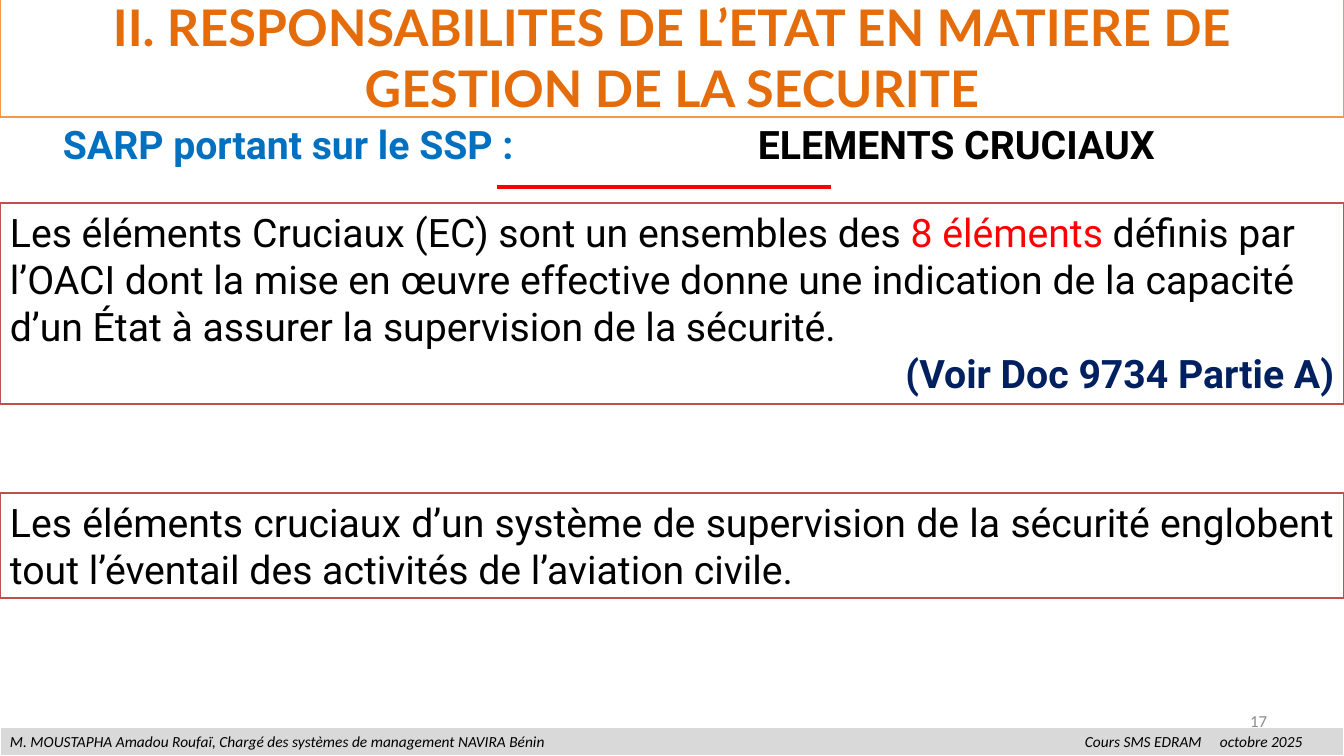
from lxml import etree
from pptx import Presentation
from pptx.dml.color import RGBColor
from pptx.enum.shapes import MSO_CONNECTOR, MSO_SHAPE
from pptx.enum.text import MSO_ANCHOR, MSO_AUTO_SIZE, PP_ALIGN
from pptx.oxml.ns import qn
from pptx.util import Emu, Pt

LEFT, CENTER, RIGHT, JUSTIFY = PP_ALIGN.LEFT, PP_ALIGN.CENTER, PP_ALIGN.RIGHT, PP_ALIGN.JUSTIFY
TOP, MIDDLE = MSO_ANCHOR.TOP, MSO_ANCHOR.MIDDLE
RECTANGLE, STRAIGHT = MSO_SHAPE.RECTANGLE, MSO_CONNECTOR.STRAIGHT
NO_AUTOFIT = MSO_AUTO_SIZE.NONE
TITLE_ONLY = 5
SLIDE_W, SLIDE_H = 1344, 756

BLACK = RGBColor(0x00, 0x00, 0x00)
WHITE = RGBColor(0xFF, 0xFF, 0xFF)
RED = RGBColor(0xFF, 0x00, 0x00)
BLUE = RGBColor(0x00, 0x70, 0xC0)
NAVY = RGBColor(0x00, 0x20, 0x60)
BRICK = RGBColor(0xC0, 0x50, 0x4D)
ORANGE = RGBColor(0xF7, 0x96, 0x46)
DARK_ORANGE = RGBColor(0xE4, 0x6C, 0x0A)
LIGHT_GRAY = RGBColor(0xD9, 0xD9, 0xD9)
MID_GRAY = RGBColor(0x8C, 0x8C, 0x8C)

TITLE = {"name": "Lato", "size": Pt(36), "bold": True}
BODY = {"name": "Roboto", "size": Pt(28)}
STRONG = {**BODY, "bold": True}
NUMBER = {"name": "Calibri", "size": Pt(12)}
FOOTER = {"name": "Calibri", "size": Pt(11), "italic": True}


def px(length):
    return Emu(round(length * 914400 / 100.8))


def write(box, paragraphs, anchor=TOP, wrap=True):
    """Each paragraph is (alignment, spans); each span is (text, format, colour)."""
    frame = box.text_frame
    frame.auto_size = NO_AUTOFIT
    frame.word_wrap = wrap
    frame.vertical_anchor = anchor
    for index, (alignment, spans) in enumerate(paragraphs):
        para = frame.add_paragraph() if index else frame.paragraphs[0]
        para.alignment = alignment
        for text, style, color in spans:
            span = para.add_run()
            span.text = text
            for key, value in style.items():
                setattr(span.font, key, value)
            span.font.color.rgb = color


def paint(box, fill, line, width):
    box.fill.solid()
    box.fill.fore_color.rgb = fill
    box.line.color.rgb = line
    box.line.width = Pt(width)


def add_title(page, text):
    title = page.shapes.title
    title.left, title.top, title.width, title.height = px(0), px(-3), px(SLIDE_W), px(120)
    paint(title, WHITE, ORANGE, 2)
    write(title, [(CENTER, [(text, TITLE, DARK_ORANGE)])], MIDDLE)


def add_band(page, top, height, paragraphs, fill=WHITE, line=BRICK, width=2):
    band = page.shapes.add_shape(RECTANGLE, px(0), px(top), px(SLIDE_W), px(height))
    band.shadow.inherit = False
    paint(band, fill, line, width)
    write(band, paragraphs)
    return band


def add_label(page, left, top, width, height, text, style, color,
              alignment=LEFT, anchor=TOP, wrap=True):
    label = page.shapes.add_textbox(px(left), px(top), px(width), px(height))
    write(label, [(alignment, [(text, style, color)])], anchor, wrap)


def add_rule(page, left, right, y):
    rule = page.shapes.add_connector(STRAIGHT, px(left), px(y), px(right), px(y))
    rule.line.color.rgb = RED
    rule.line.width = Pt(3)
    etree.SubElement(rule._element.spPr, qn("a:effectLst"))


def set_tabs(para, positions):
    tabs = etree.SubElement(para._p.get_or_add_pPr(), qn("a:tabLst"))
    for position in positions:
        etree.SubElement(tabs, qn("a:tab"), pos=str(px(position)), algn="l")


def main():
    deck = Presentation()
    deck.slide_width, deck.slide_height = px(SLIDE_W), px(SLIDE_H)
    page = deck.slides.add_slide(deck.slide_layouts[TITLE_ONLY])

    # Footer and page number
    footer_text = ("M. MOUSTAPHA Amadou Roufaï, Chargé des systèmes de management NAVIRA Bénin"
                   "\tCours SMS EDRAM\toctobre 2025")
    footer = add_band(page, 727, 29, [(LEFT, [(footer_text, FOOTER, BLACK)])],
                      LIGHT_GRAY, WHITE, 0.75)
    set_tabs(footer.text_frame.paragraphs[0], (1075, 1210))
    add_label(page, 964, 701, 313, 40, "17", NUMBER, MID_GRAY, RIGHT, MIDDLE)

    # Title and subheadings
    add_title(page, "II. RESPONSABILITES DE L’ETAT EN MATIERE DE GESTION DE LA SECURITE")
    add_label(page, 53, 115, 596, 57, "SARP portant sur le SSP :", STRONG, BLUE)
    add_label(page, 748, 115, 456, 57, "ELEMENTS CRUCIAUX", STRONG, BLACK, wrap=False)
    add_rule(page, 497, 831, 187)

    # Definition and scope
    add_band(page, 203, 201, [
        (LEFT, [("Les éléments Cruciaux (EC) sont un ensembles des ", BODY, BLACK),
                ("8 éléments", BODY, RED),
                (" définis par l’OACI dont la mise en œuvre effective donne une indication "
                 "de la capacité d’un État à assurer la supervision de la sécurité.", BODY, BLACK)]),
        (RIGHT, [("(Voir Doc 9734 Partie A)", STRONG, NAVY)]),
    ])
    add_band(page, 493, 105, [
        (JUSTIFY, [("Les éléments cruciaux d’un système de supervision de la sécurité englobent "
                    "tout l’éventail des activités de l’aviation civile.", BODY, BLACK)]),
    ])

    deck.save("out.pptx")


if __name__ == "__main__":
    main()
